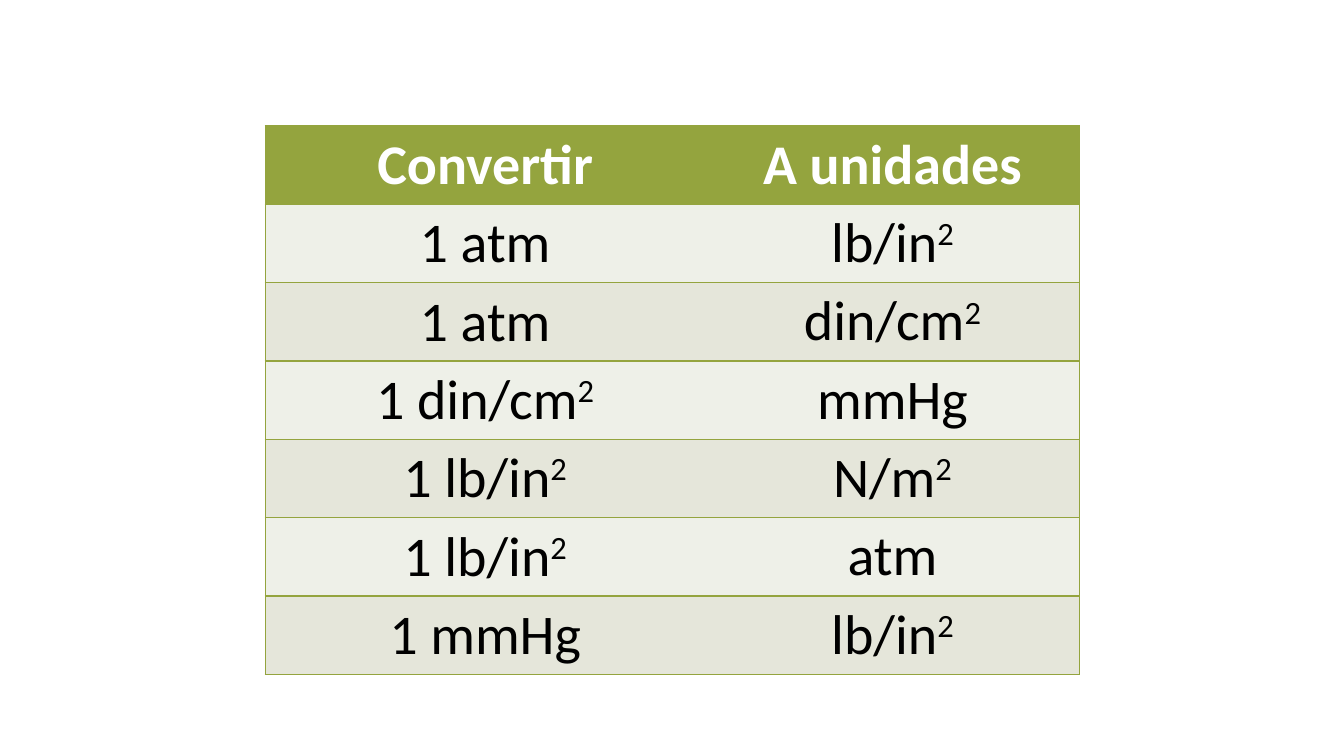
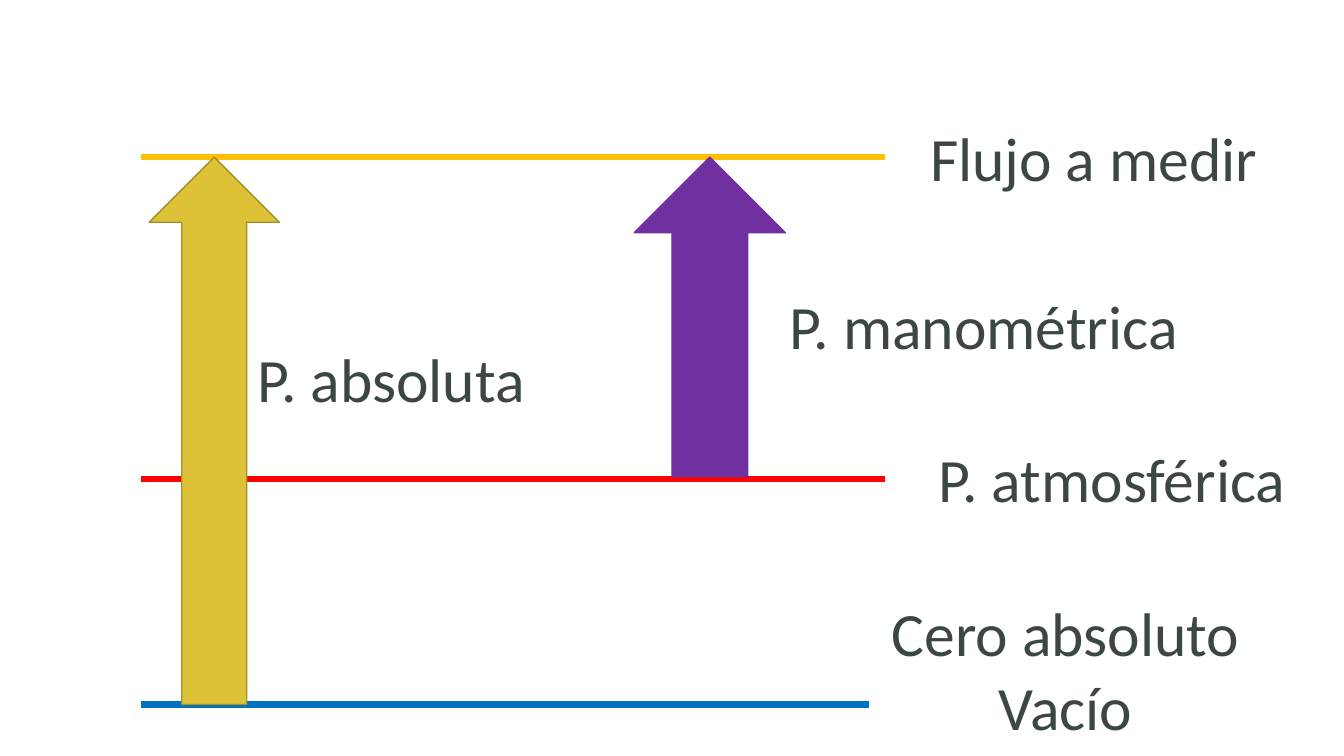
from pptx import Presentation
from pptx.dml.color import RGBColor
from pptx.enum.shapes import MSO_CONNECTOR, MSO_SHAPE
from pptx.enum.text import MSO_ANCHOR, PP_ALIGN
from pptx.oxml.ns import qn
from pptx.util import Inches, Pt
from lxml.etree import SubElement

FONT = "Calibri"
COLORS = {
    "green": "94A43E", "light": "EEF0E8", "dark": "E5E6DA",
    "white": "FFFFFF", "black": "000000", "text": "3C4743",
    "amber": "FFC000", "red": "FF0000", "blue": "0070C0",
    "purple": "7030A0", "gold": "DDC237", "olive": "A39029",
}
UNITS = [
    ("Convertir", "A unidades"),
    ("1 atm", "lb/in^2"),
    ("1 atm", "din/cm^2"),
    ("1 din/cm^2", "mmHg"),
    ("1 lb/in^2", "N/m^2"),
    ("1 lb/in^2", "atm"),
    ("1 mmHg", "lb/in^2"),
]


def rgb(name):
    return RGBColor.from_string(COLORS[name])


def add_run(para, text, size, color, bold=False):
    run = para.add_run()
    run.text = text
    font = run.font
    font.name, font.size, font.bold = FONT, Pt(size), bold
    font.color.rgb = rgb(color)
    return run


# Table of units
def edge(cell, side, color=None):
    line = SubElement(cell._tc.get_or_add_tcPr(), qn("a:ln" + side), w="12700")
    if color:
        fill = SubElement(line, qn("a:solidFill"))
        SubElement(fill, qn("a:srgbClr"), val=COLORS[color])
    else:
        SubElement(line, qn("a:noFill"))


def fill_cell(cell, text, row, col):
    head = row == 0
    outer = "L" if col == 0 else "R"
    for side in "LRTB":
        edge(cell, side, "green" if side in outer + "TB" else None)
    cell.fill.solid()
    cell.fill.fore_color.rgb = rgb("green" if head else "light" if row % 2 else "dark")
    cell.vertical_anchor = MSO_ANCHOR.TOP if head or col else MSO_ANCHOR.MIDDLE
    para = cell.text_frame.paragraphs[0]
    para.alignment = PP_ALIGN.CENTER
    color = "white" if head else "black"
    base, _, power = text.partition("^")
    add_run(para, base, 40, color, head)
    if power:
        run = add_run(para, power, 40, color)
        run._r.get_or_add_rPr().set("baseline", "30000")


def unit_table(slide, left, top, width, height):
    frame = slide.shapes.add_table(len(UNITS), 2, Inches(left), Inches(top),
                                   Inches(width), Inches(height))
    table = frame.table
    table.columns[0].width = Inches(width * 0.54)
    table.columns[1].width = Inches(width * 0.46)
    for row, pair in enumerate(UNITS):
        for col, text in enumerate(pair):
            fill_cell(table.cell(row, col), text, row, col)


# Parts of the pressure diagram
def level(slide, left, top, width, color):
    line = slide.shapes.add_connector(
        MSO_CONNECTOR.STRAIGHT, Inches(left), Inches(top),
        Inches(left + width), Inches(top))
    line.line.color.rgb = rgb(color)
    line.line.width = Pt(4.5)
    SubElement(line._element.spPr, qn("a:effectLst"))


def arrow(slide, left, top, width, height, color, border):
    shape = slide.shapes.add_shape(MSO_SHAPE.UP_ARROW, Inches(left), Inches(top),
                                   Inches(width), Inches(height))
    shape.shadow.inherit = False
    shape.fill.solid()
    shape.fill.fore_color.rgb = rgb(color)
    shape.line.color.rgb = rgb(border)
    shape.line.width = Pt(1)


def label(slide, left, top, width, *lines):
    box = slide.shapes.add_textbox(Inches(left), Inches(top), Inches(width),
                                   Inches(0.1 + 0.74 * len(lines)))
    frame = box.text_frame
    frame.word_wrap = True
    for i, text in enumerate(lines):
        para = frame.add_paragraph() if i else frame.paragraphs[0]
        para.alignment = PP_ALIGN.CENTER
        add_run(para, text, 44, "text")


def diagram(slide, left, top, width, height):
    base = top + height
    middle = top + 3.19
    # Reference levels
    level(slide, left, middle, width, "red")
    level(slide, left, top, width, "amber")
    level(slide, left, base, width - 0.16, "blue")
    # Pressure arrows
    arrow(slide, left + 4.89, top, 1.5, middle - top - 0.02, "purple", "purple")
    arrow(slide, left + 0.08, top, 1.29, height, "gold", "olive")
    # Labels
    label(slide, left + 7.55, top - 0.42, 3.8, "Flujo a medir")
    label(slide, left + 7.43, middle - 0.42, 4.4, "P. atmosférica")
    label(slide, left + 6.16, top + 1.25, 4.4, "P. manométrica")
    label(slide, left + 6.97, base - 1.14, 4.4, "Cero absoluto", "Vacío")
    label(slide, left + 0.88, top + 1.77, 3.2, "P. absoluta")


def main():
    deck = Presentation()
    deck.slide_width, deck.slide_height = Inches(13.33), Inches(7.5)
    blank = deck.slide_layouts[6]
    unit_table(deck.slides.add_slide(blank), 2.63, 1.25, 8.08, 5.37)
    diagram(deck.slides.add_slide(blank), 1.4, 1.56, 7.38, 5.43)
    deck.save("out.pptx")


if __name__ == "__main__":
    main()
